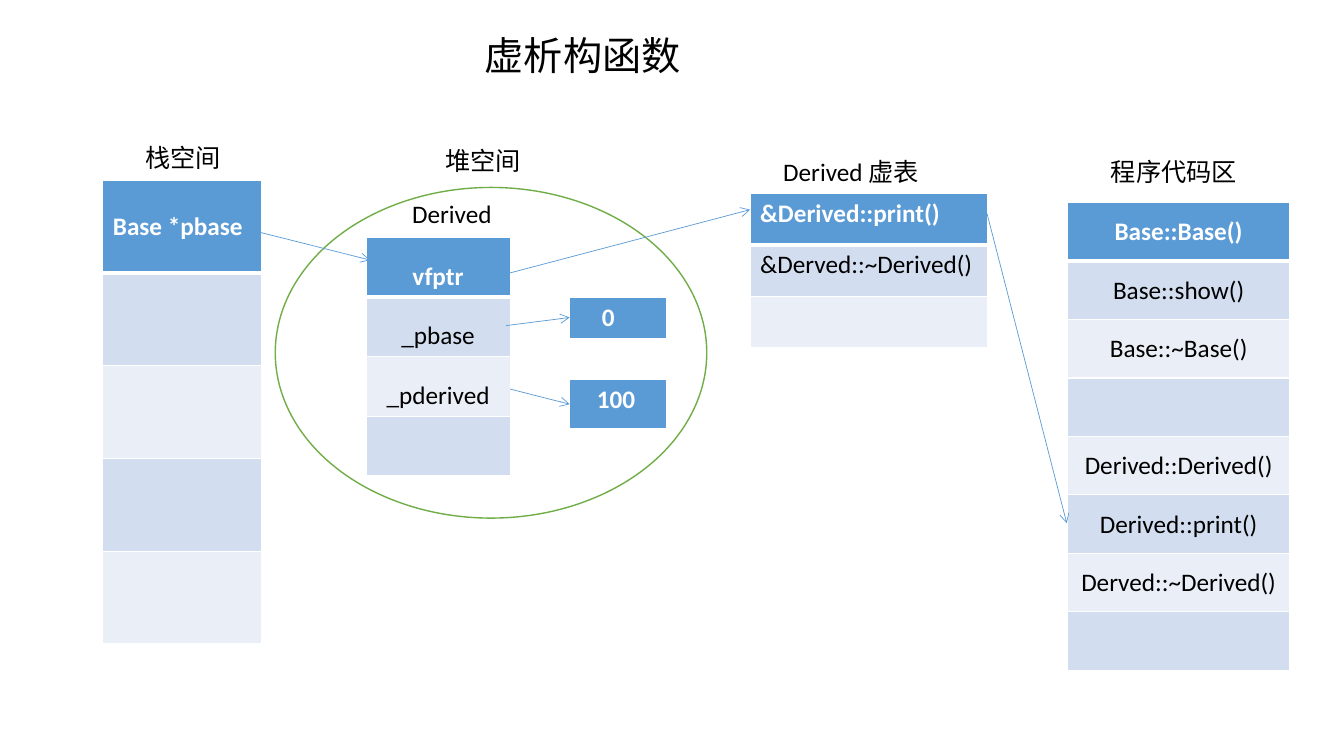
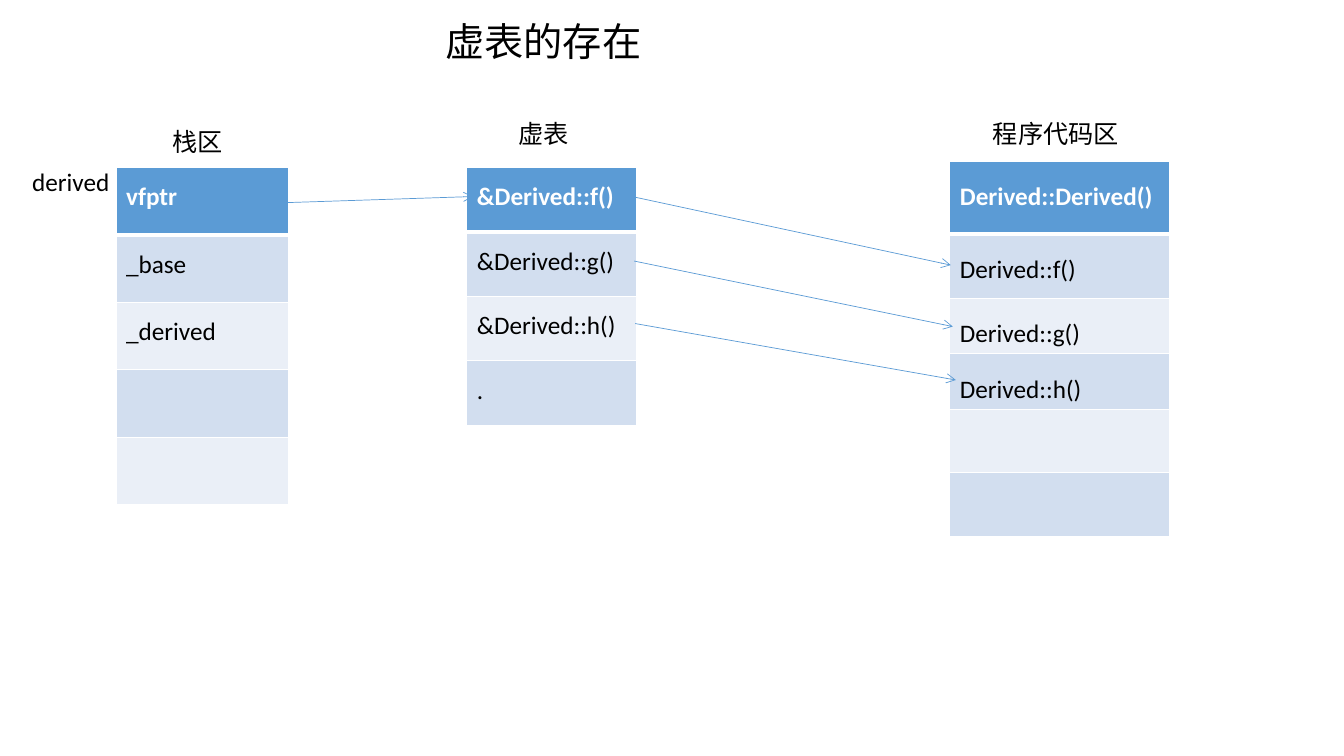
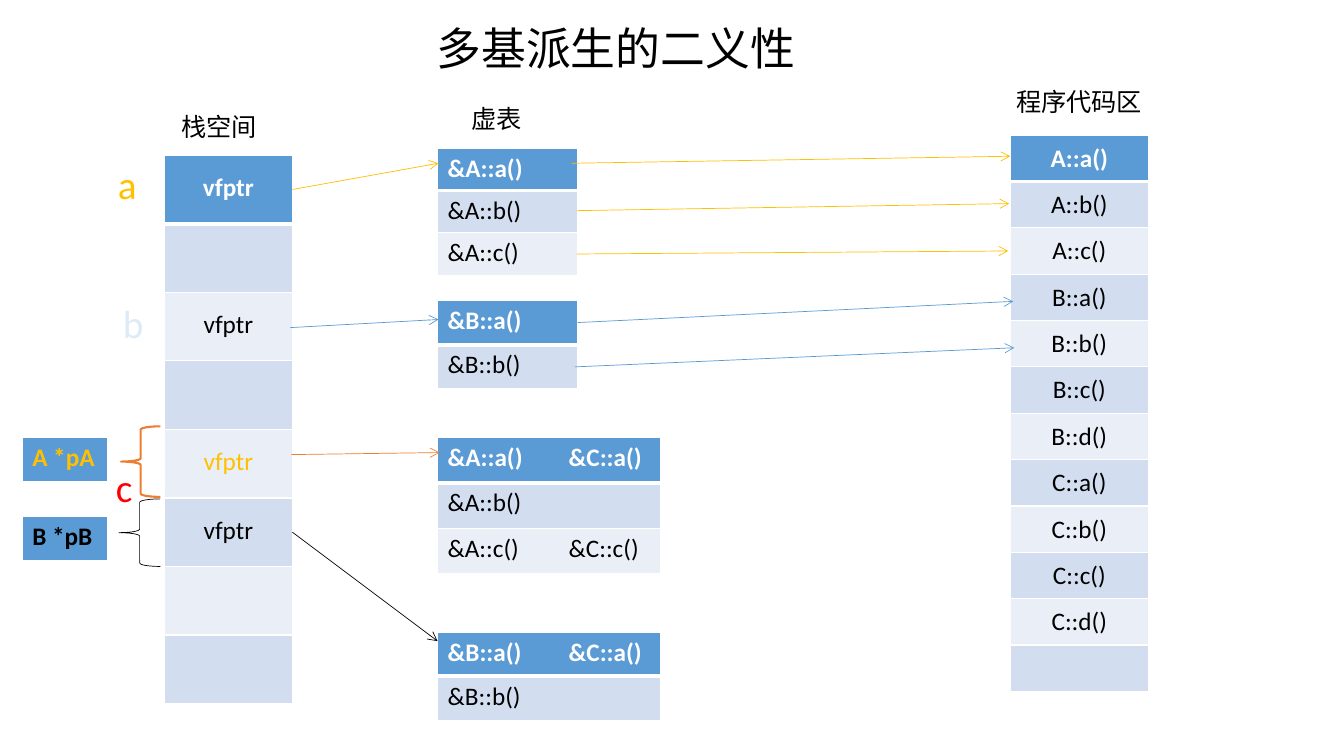
from lxml.etree import SubElement
from pptx import Presentation
from pptx.dml.color import RGBColor
from pptx.enum.shapes import MSO_CONNECTOR, MSO_SHAPE
from pptx.enum.text import MSO_ANCHOR, PP_ALIGN
from pptx.oxml.ns import qn
from pptx.util import Inches, Pt

FONT = "Calibri"
WHITE, BLACK = "FFFFFF", "000000"
HEADER, BANDS = "5B9BD5", ("EAEFF7", "D2DEEF")
BLUE, GOLD, ORANGE, GREEN = "5B9BD5", "FFC000", "ED7D31", "70AD47"
RED, PALE = "FF0000", "DEEBF7"
INSET = 0.1
OVERRIDE_TAB = 1.2


def rgb(value):
    """Turn a hex string into a colour."""
    return RGBColor.from_string(value)


def add_run(paragraph, text, size=18, color=BLACK, bold=False):
    """Add one formatted run."""
    run = paragraph.add_run()
    run.text = text
    run.font.name = FONT
    run.font.size = Pt(size)
    run.font.bold = bold
    run.font.color.rgb = rgb(color)


def label(slide, left, top, text, size=18, color=BLACK, width=2.2):
    """Place one line of text with its box corner at left, top."""
    height = 0.4 * size / 18
    box = slide.shapes.add_textbox(Inches(left), Inches(top), Inches(width), Inches(height))
    box.text_frame.word_wrap = True
    add_run(box.text_frame.paragraphs[0], text, size, color)


def title(slide, left, top, text, size=28):
    """Place the slide title."""
    label(slide, left, top, text, size, width=4.4)


def border(cell, side, points):
    """Draw one white cell border."""
    line = SubElement(cell._tc.get_or_add_tcPr(), qn(f"a:ln{side}"), w=str(Pt(points)))
    fill = SubElement(line, qn("a:solidFill"))
    SubElement(fill, qn("a:srgbClr"), val=WHITE)


def fill_cell(cell, row, text, color, align, spacing, inset, anchor):
    """Style one memory cell and write its text."""
    for side, points in (("L", 1), ("R", 1), ("T", 3 if row == 1 else 1), ("B", 1 if row else 3)):
        border(cell, side, points)
    cell.fill.solid()
    cell.fill.fore_color.rgb = rgb(BANDS[row % 2] if row else HEADER)
    cell.margin_left = Inches(inset)
    cell.vertical_anchor = anchor
    if not text:
        return
    paragraph = cell.text_frame.paragraphs[0]
    paragraph.alignment = align
    if spacing:
        paragraph.line_spacing = spacing
    if "\t" in text:
        tabs = SubElement(paragraph._p.get_or_add_pPr(), qn("a:tabLst"))
        SubElement(tabs, qn("a:tab"), pos=str(Inches(OVERRIDE_TAB)), algn="l")
    add_run(paragraph, text, color=color, bold=row == 0)


def memory(slide, left, top, width, heights, entries, caption=None, colors=None,
           align=PP_ALIGN.LEFT, spacing=None, inset=INSET, anchor=MSO_ANCHOR.TOP):
    """Draw a column of memory cells, with a caption offset from its corner."""
    if not isinstance(heights, tuple):
        heights = (heights,) * len(entries)
    table = slide.shapes.add_table(len(entries), 1, Inches(left), Inches(top),
                                   Inches(width), Inches(sum(heights))).table
    table.columns[0].width = Inches(width)
    for row, (height, text) in enumerate(zip(heights, entries)):
        table.rows[row].height = Inches(height)
        color = (colors or {}).get(row, BLACK if row else WHITE)
        fill_cell(table.cell(row, 0), row, text, color, align, spacing, inset, anchor)
    if caption:
        text, across, down = caption
        label(slide, left + across, top + down, text)


def arrows(slide, color, *routes):
    """Draw thin arrows, each given as start x, y and end x, y."""
    for route in routes:
        link = slide.shapes.add_connector(MSO_CONNECTOR.STRAIGHT, *map(Inches, route))
        link.line.color.rgb = rgb(color)
        link.line.width = Pt(0.5)
        SubElement(link.line._get_or_add_ln(), qn("a:tailEnd"), type="arrow")
        SubElement(link._element.spPr, qn("a:effectLst"))


def outline(slide, kind, box, color, points, fill=None):
    """Draw an outlined preset shape."""
    shape = slide.shapes.add_shape(kind, *map(Inches, box))
    shape.shadow.inherit = False
    shape.line.color.rgb = rgb(color)
    shape.line.width = Pt(points)
    if fill:
        shape.fill.solid()
        shape.fill.fore_color.rgb = rgb(fill)
    else:
        shape.fill.background()


def heap(slide, left, top, width, height):
    """Draw the heap oval with the derived object and its values."""
    outline(slide, MSO_SHAPE.OVAL, (left, top, width, height), GREEN, 1, WHITE)
    label(slide, left + 1.59, top - 0.47, "堆空间")
    memory(slide, left + 0.9, top + 0.5, 1.43, 0.59, ["vfptr", "_pbase", "_pderived", ""],
           ("Derived", 0.36, -0.44), align=PP_ALIGN.CENTER, spacing=1.6)
    memory(slide, left + 2.92, top + 1.09, 0.96, 0.42, ["0"], inset=0.32)
    memory(slide, left + 2.92, top + 1.9, 0.96, 0.5, ["100"], inset=0.27)
    arrows(slide, BLUE,
           (left + 2.29, top + 1.37, left + 2.92, top + 1.29),
           (left + 2.33, top + 2, left + 2.92, top + 2.15))


def base_pointer(slide, left, top, text, color, brace, brace_color, points):
    """Draw a base pointer and the brace round the part it sees."""
    memory(slide, left, top, 0.85, 0.45, [text], colors={0: color})
    across, down, width, height = brace
    outline(slide, MSO_SHAPE.LEFT_BRACE, (left + across, top + down, width, height),
            brace_color, points)


def virtual_destructor(slide):
    """Build the virtual destructor slide."""
    title(slide, 4.71, 0.26, "虚析构函数")
    memory(slide, 1.02, 1.79, 1.57, 0.92, ["Base *pbase", "", "", "", ""],
           ("栈空间", 0.32, -0.43), anchor=MSO_ANCHOR.MIDDLE)
    heap(slide, 2.73, 1.86, 4.28, 3.28)
    memory(slide, 7.44, 1.92, 2.36, 0.51, ["&Derived::print()", "&Derved::~Derived()", ""],
           ("Derived 虚表", 0.23, -0.42))
    memory(slide, 10.59, 2.01, 2.2, 0.58,
           ["Base::Base()", "Base::show()", "Base::~Base()", "", "Derived::Derived()",
            "Derived::print()", "Derved::~Derived()", ""],
           ("程序代码区", 0.33, -0.51), align=PP_ALIGN.CENTER, spacing=1.3)
    arrows(slide, BLUE, (2.56, 2.3, 3.67, 2.58), (5.05, 2.71, 7.44, 2.08),
           (9.79, 2.12, 10.58, 5.19))


def virtual_table(slide):
    """Build the slide on the existence of the virtual table."""
    title(slide, 4.32, 0.12, "虚表的存在")
    label(slide, 0.22, 1.6, "derived", width=1.05)
    memory(slide, 1.15, 1.66, 1.71, 0.67, ["vfptr", "_base", "_derived", "", ""],
           ("栈区", 0.46, -0.46), spacing=1.3)
    memory(slide, 4.63, 1.66, 1.68, 0.64,
           ["&Derived::f()", "&Derived::g()", "&Derived::h()", "."],
           ("虚表", 0.41, -0.54), spacing=1.3)
    memory(slide, 9.42, 1.6, 2.18, (0.72, 0.64, 0.55, 0.55, 0.63, 0.63),
           ["Derived::Derived()", "Derived::f()", "Derived::g()", "Derived::h()", "", ""],
           ("程序代码区", 0.33, -0.48), spacing=1.5)
    arrows(slide, BLUE, (2.85, 2.01, 4.69, 1.95), (6.27, 1.95, 9.43, 2.63),
           (6.29, 2.59, 9.45, 3.24), (6.3, 3.21, 9.48, 3.77))


def multiple_bases(slide):
    """Build the slide on ambiguity with several bases."""
    title(slide, 4.23, 0.16, "多基派生的二义性", 32)
    memory(slide, 1.63, 1.54, 1.27, 0.68,
           ["vfptr", "", "vfptr", "", "vfptr", "vfptr", "", ""],
           ("栈空间", 0.07, -0.48), {4: GOLD}, PP_ALIGN.CENTER, 1.4)
    for left, top, name, color in ((1.07, 1.54, "a", GOLD), (1.12, 2.92, "b", PALE),
                                   (1.05, 4.55, "c", RED)):
        label(slide, left, top, name, 28, color, 0.47)
    vtables = (
        (1.47, 1.39, 0.42, ["&A::a()", "&A::b()", "&A::c()"], ("虚表", 0.24, -0.49)),
        (2.98, 1.39, 0.44, ["&B::a()", "&B::b()"], None),
        (4.34, 2.21, 0.45, ["&A::a()\t&C::a()", "&A::b()", "&A::c()\t&C::c()"], None),
        (6.27, 2.21, 0.44, ["&B::a()\t&C::a()", "&B::b()"], None),
    )
    for top, width, height, entries, caption in vtables:
        memory(slide, 4.34, top, width, height, entries, caption)
    functions = [f"{owner}::{name}()" for owner, names in (("A", "abc"), ("B", "abcd"), ("C", "abcd"))
                 for name in names]
    memory(slide, 10.02, 1.34, 1.37, 0.46, functions + [""], ("程序代码区", -0.04, -0.53),
           align=PP_ALIGN.CENTER, spacing=1.1)
    arrows(slide, GOLD, (2.9, 1.88, 4.35, 1.62), (5.67, 1.62, 10.02, 1.55),
           (5.72, 2.09, 10.01, 2.02), (5.72, 2.52, 10, 2.49))
    arrows(slide, BLUE, (2.88, 3.25, 4.35, 3.17), (5.73, 3.2, 10.05, 2.99),
           (5.7, 3.64, 10.06, 3.45))
    arrows(slide, ORANGE, (2.89, 4.51, 4.36, 4.49))
    arrows(slide, BLACK, (2.9, 5.28, 4.34, 6.36))
    base_pointer(slide, 0.22, 4.34, "A *pA", GOLD, (0.98, -0.11, 0.39, 0.7), ORANGE, 1.5)
    base_pointer(slide, 0.22, 5.12, "B *pB", BLACK, (0.96, -0.17, 0.41, 0.67), BLACK, 0.5)


def main():
    """Build and save the deck."""
    deck = Presentation()
    deck.slide_width, deck.slide_height = Inches(13.33), Inches(7.5)
    for build in (virtual_destructor, virtual_table, multiple_bases):
        build(deck.slides.add_slide(deck.slide_layouts[6]))
    deck.save("out.pptx")


if __name__ == "__main__":
    main()
